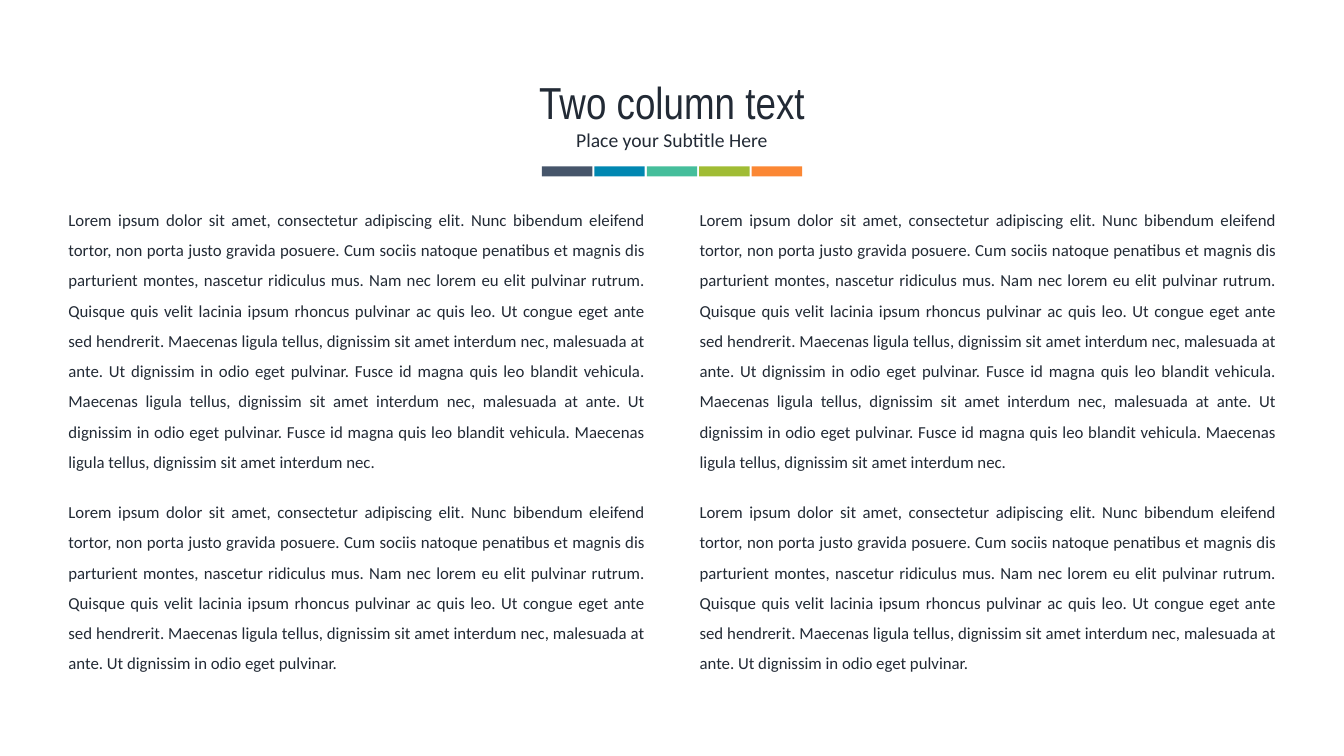
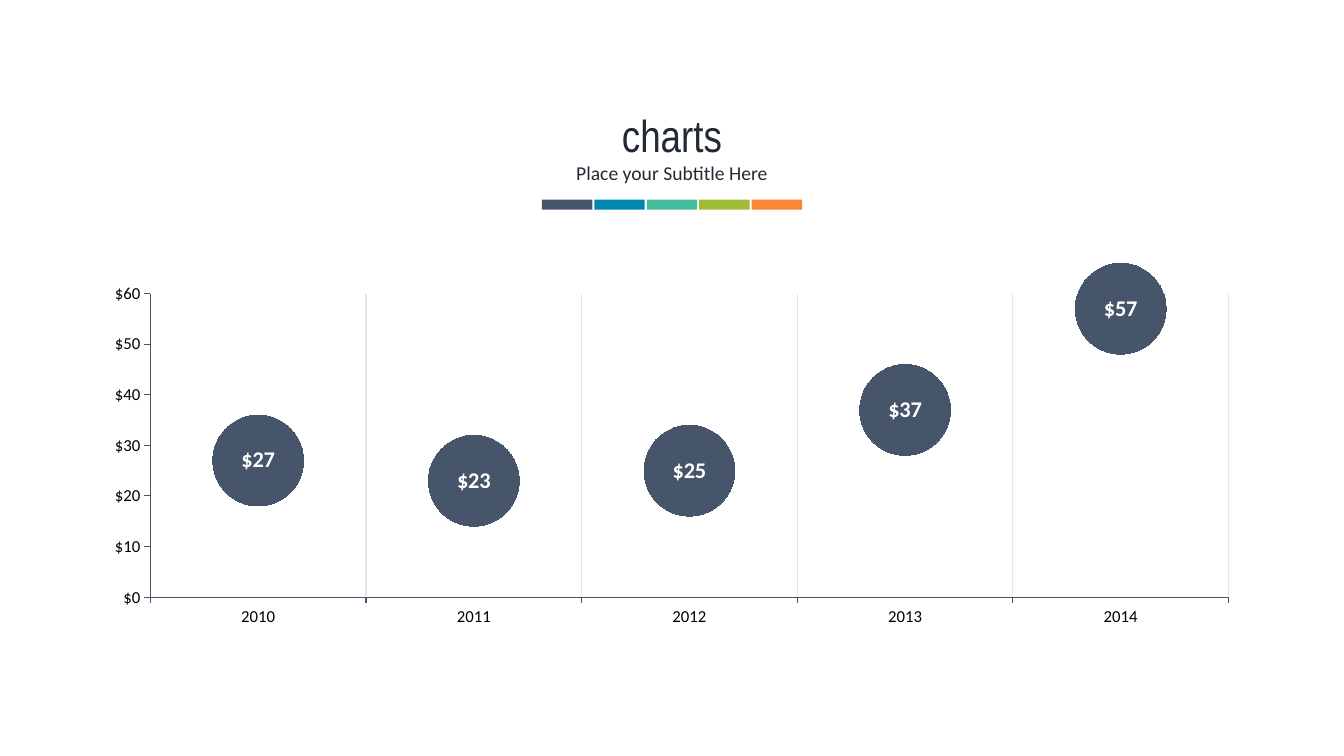
from dataclasses import dataclass

from pptx import Presentation
from pptx.chart.data import CategoryChartData
from pptx.dml.color import RGBColor
from pptx.enum.chart import XL_CHART_TYPE as ChartType
from pptx.enum.chart import XL_LABEL_POSITION as LabelPosition
from pptx.enum.chart import XL_MARKER_STYLE as Marker
from pptx.enum.chart import XL_TICK_MARK as TickMark
from pptx.enum.shapes import MSO_SHAPE as Shape
from pptx.enum.text import MSO_ANCHOR as Anchor
from pptx.enum.text import MSO_AUTO_SIZE as AutoSize
from pptx.enum.text import PP_ALIGN as Align
from pptx.oxml import parse_xml
from pptx.oxml.ns import nsdecls, qn
from pptx.util import Inches, Pt


@dataclass(frozen=True)
class Theme:
    width: float = 13.33
    height: float = 7.5
    ink: str = "222A35"
    black: str = "000000"
    white: str = "FFFFFF"
    axis: str = "44546A"
    grid: str = "E7E6E6"
    accents: tuple = ("46556A", "0087B1", "45BE9B", "A0BC34", "FB8734")
    title_font: str = "Arial Narrow"
    body_font: str = "Calibri"
    title_size: int = 32
    label_size: int = 16
    subtitle_size: int = 14
    body_size: int = 12


THEME = Theme()
TITLE_ONLY = 5

SUBTITLE = "Place your Subtitle Here"
SHORT_TEXT = (
    "Lorem ipsum dolor sit amet, consectetur adipiscing elit. Nunc bibendum eleifend "
    "tortor, non porta justo gravida posuere. Cum sociis natoque penatibus et magnis dis "
    "parturient montes, nascetur ridiculus mus. Nam nec lorem eu elit pulvinar rutrum. "
    "Quisque quis velit lacinia ipsum rhoncus pulvinar ac quis leo. Ut congue eget ante "
    "sed hendrerit. Maecenas ligula tellus, dignissim sit amet interdum nec, malesuada at "
    "ante. Ut dignissim in odio eget pulvinar."
)
LONG_TEXT = SHORT_TEXT + (
    " Fusce id magna quis leo blandit vehicula. Maecenas ligula tellus, dignissim sit amet "
    "interdum nec, malesuada at ante. Ut dignissim in odio eget pulvinar. Fusce id magna "
    "quis leo blandit vehicula. Maecenas ligula tellus, dignissim sit amet interdum nec."
)
PRICES = {"2010": 27, "2011": 23, "2012": 25, "2013": 37, "2014": 57}


def rgb(code):
    return RGBColor.from_string(code)


def style_font(font, size, color, name=THEME.body_font, bold=False):
    font.size, font.name, font.bold = Pt(size), name, bold
    font.color.rgb = rgb(color)


def place(shape, left, top, width, height):
    shape.left, shape.top = Inches(left), Inches(top)
    shape.width, shape.height = Inches(width), Inches(height)


def write(shape, text, size, align, font=THEME.body_font, spacing=1.0):
    frame = shape.text_frame
    frame.word_wrap = True
    frame.auto_size = AutoSize.NONE
    frame.vertical_anchor = Anchor.TOP
    paragraph = frame.paragraphs[0]
    paragraph.alignment = align
    paragraph.line_spacing = spacing
    run = paragraph.add_run()
    run.text = text
    style_font(run.font, size, THEME.ink, font)


def add_text(slide, box, text, size, align, spacing=1.0):
    textbox = slide.shapes.add_textbox(*map(Inches, box))
    write(textbox, text, size, align, spacing=spacing)


def add_color_bar(slide, top, block=0.5, pitch=0.52, height=0.1):
    """Centre one block per accent colour on the slide."""
    span = pitch * (len(THEME.accents) - 1) + block
    left = (THEME.width - span) / 2
    for column, color in enumerate(THEME.accents):
        box = (left + column * pitch, top, block, height)
        block_shape = slide.shapes.add_shape(Shape.RECTANGLE, *map(Inches, box))
        block_shape.shadow.inherit = False
        block_shape.fill.solid()
        block_shape.fill.fore_color.rgb = rgb(color)
        block_shape.line.fill.background()


def add_header_slide(deck, title, top):
    """Start a slide with the title, subtitle and colour bar below top."""
    slide = deck.slides.add_slide(deck.slide_layouts[TITLE_ONLY])
    heading = slide.shapes.title
    place(heading, 0, top, THEME.width, 0.64)
    write(heading, title, THEME.title_size, Align.CENTER, THEME.title_font)
    margin = 0.68
    add_text(slide, (margin, top + 0.53, THEME.width - 2 * margin, 0.34),
             SUBTITLE, THEME.subtitle_size, Align.CENTER)
    add_color_bar(slide, top + 0.96)
    return slide


def add_text_grid(slide, box, rows, columns=2, column_gap=0.34, row_gap=0.07):
    """Repeat each (text, height) row across equal columns."""
    left, top, width = box
    column_width = (width - column_gap * (columns - 1)) / columns
    for text, height in rows:
        for column in range(columns):
            x = left + column * (column_width + column_gap)
            add_text(slide, (x, top, column_width, height), text,
                     THEME.body_size, Align.JUSTIFY, spacing=1.5)
        top += height + row_gap


def style_axis(axis):
    axis.major_tick_mark = TickMark.OUTSIDE
    axis.minor_tick_mark = TickMark.NONE
    axis.format.line.color.rgb = rgb(THEME.axis)
    axis.format.line.width = Pt(0.75)
    style_font(axis.tick_labels.font, THEME.body_size, THEME.black)


def set_plot_layout(chart, **shares):
    """Fix the inner plot area as shares (x, y, w, h) of the chart."""
    plot_area = chart._chartSpace.chart.plotArea
    for layout in plot_area.findall(qn("c:layout")):
        plot_area.remove(layout)
    modes = "".join(f'<c:{key}Mode val="edge"/>' for key in "xy")
    values = "".join(f'<c:{key} val="{share}"/>' for key, share in shares.items())
    plot_area.insert(0, parse_xml(
        f'<c:layout {nsdecls("c")}><c:manualLayout><c:layoutTarget val="inner"/>'
        f"{modes}{values}</c:manualLayout></c:layout>"))


def add_bubble_line_chart(slide, box, prices):
    """Line chart without its line: large round markers carry the values."""
    data = CategoryChartData(number_format="[$$-C09]#,##0")
    data.categories = list(prices)
    data.add_series("Series 1", list(prices.values()))
    chart = slide.shapes.add_chart(
        ChartType.LINE_MARKERS, *map(Inches, box), data).chart
    chart.has_legend = False
    chart.has_title = False
    style_font(chart.font, 18, THEME.black)
    set_plot_layout(chart, x=0.03, y=0.1, w=0.97, h=0.81)

    years, dollars = chart.category_axis, chart.value_axis
    for axis in (years, dollars):
        style_axis(axis)
    years.has_major_gridlines = True
    years.major_gridlines.format.line.color.rgb = rgb(THEME.grid)
    years.major_gridlines.format.line.width = Pt(0.75)
    dollars.has_major_gridlines = False
    dollars.minimum_scale, dollars.maximum_scale = 0, 60
    dollars.major_unit = 10
    dollars.tick_labels.number_format = "[$$-C09]#,##0"
    dollars.tick_labels.number_format_is_linked = False

    plot = chart.plots[0]
    plot.vary_by_categories = False
    series = plot.series[0]
    series.smooth = False
    series.format.line.fill.background()
    marker = series.marker
    marker.style, marker.size = Marker.CIRCLE, 65
    marker.format.fill.solid()
    marker.format.fill.fore_color.rgb = rgb(THEME.accents[0])
    marker.format.line.fill.background()
    labels = series.data_labels
    labels.show_value = True
    labels.position = LabelPosition.CENTER
    style_font(labels.font, THEME.label_size, THEME.white, bold=True)


def build_text_slide(deck):
    slide = add_header_slide(deck, "Two column text", top=0.69)
    add_text_grid(slide, (0.58, 1.93, 12.18),
                  [(LONG_TEXT, 2.83), (SHORT_TEXT, 1.92)])


def build_chart_slide(deck):
    slide = add_header_slide(deck, "charts", top=1.02)
    add_bubble_line_chart(slide, (1.14, 2.54, 11.05, 3.72), PRICES)


def main():
    deck = Presentation()
    deck.slide_width = Inches(THEME.width)
    deck.slide_height = Inches(THEME.height)
    build_text_slide(deck)
    build_chart_slide(deck)
    deck.save("out.pptx")


if __name__ == "__main__":
    main()
